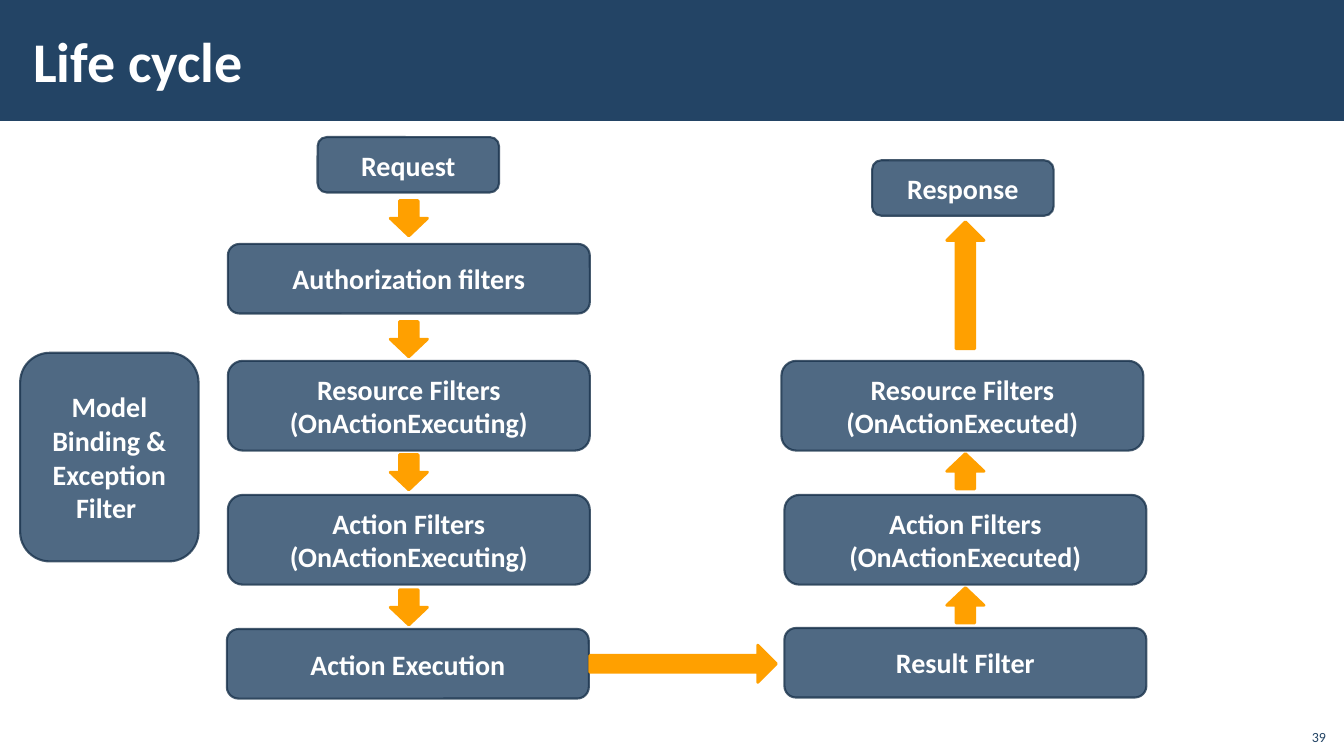
from lxml import etree
from pptx import Presentation
from pptx.dml.color import RGBColor
from pptx.enum.shapes import MSO_SHAPE
from pptx.enum.text import MSO_ANCHOR, PP_ALIGN
from pptx.oxml.ns import qn
from pptx.util import Inches, Pt

NAVY, DARK_NAVY, ORANGE, WHITE = "234465", "1A334C", "FFA000", "FFFFFF"

presentation = Presentation()
presentation.slide_width = Inches(13.33)
presentation.slide_height = Inches(7.5)
slide = presentation.slides.add_slide(presentation.slide_layouts[6])


def add_filled_shape(kind, place, fill, line=None, width=0, opacity=100):
    """Add a preset shape whose fill and line share one opacity in percent."""
    shape = slide.shapes.add_shape(kind, *map(Inches, place))
    shape.shadow.inherit = False
    shape.fill.solid()
    shape.fill.fore_color.rgb = RGBColor.from_string(fill)
    if line:
        shape.line.color.rgb = RGBColor.from_string(line)
        shape.line.width = Pt(width)
    else:
        shape.line.fill.background()
    if opacity < 100:
        for color in shape._element.spPr.iter(qn("a:srgbClr")):
            etree.SubElement(color, qn("a:alpha")).set("val", str(opacity * 1000))
    return shape


def write_text(shape, text, size, color, bold, align, anchor):
    frame = shape.text_frame
    frame.word_wrap = True
    frame.vertical_anchor = anchor
    paragraph = frame.paragraphs[0]
    paragraph.text = text
    paragraph.alignment = align
    font_format = {"name": "Calibri", "size": Pt(size), "bold": bold}
    for run in paragraph.runs:
        for name, value in font_format.items():
            setattr(run.font, name, value)
        run.font.color.rgb = RGBColor.from_string(color)


# Header and slide number
add_filled_shape(MSO_SHAPE.RECTANGLE, (0, 0, 13.33, 1.2), NAVY)

title = slide.shapes.add_textbox(*map(Inches, (0.21, 0.11, 10.63, 0.97)))
title.text_frame.margin_left = title.text_frame.margin_right = Inches(0.12)
write_text(title, "Life cycle", 40, WHITE, True, PP_ALIGN.LEFT, MSO_ANCHOR.MIDDLE)

slide_number = slide.shapes.add_textbox(*map(Inches, (12.85, 7.12, 0.4, 0.32)))
write_text(slide_number, "39", 10, NAVY, False, PP_ALIGN.RIGHT, MSO_ANCHOR.BOTTOM)

# Stages of the life cycle
END_SIZE, ONE_LINE, TWO_LINES = (1.8, 0.55), (3.59, 0.69), (3.59, 0.89)
stages = [
    ("Request", 3.15, 1.36, END_SIZE),
    ("Authorization filters", 2.26, 2.42, ONE_LINE),
    ("Resource Filters\n(OnActionExecuting)", 2.26, 3.58, TWO_LINES),
    ("Action Filters\n(OnActionExecuting)", 2.26, 4.91, TWO_LINES),
    ("Action Execution", 2.25, 6.24, ONE_LINE),
    ("Model Binding &\nException Filter ", 0.2, 3.5, (1.77, 2.07)),
    ("Result Filter", 7.78, 6.23, ONE_LINE),
    ("Action Filters\n(OnActionExecuted)", 7.78, 4.91, TWO_LINES),
    ("Resource Filters\n(OnActionExecuted)", 7.75, 3.58, TWO_LINES),
    ("Response", 8.65, 1.59, END_SIZE),
]
for text, left, top, size in stages:
    stage = add_filled_shape(MSO_SHAPE.ROUNDED_RECTANGLE, (left, top, *size),
                             NAVY, DARK_NAVY, 1.5, 80)
    write_text(stage, text, 20, WHITE, True, PP_ALIGN.CENTER, MSO_ANCHOR.MIDDLE)

# Arrows: down the request side, across, and up the response side
ARROW_WIDTH, SHORT = 0.37, 0.35
arrows = [(3.87, top, SHORT, 0) for top in (1.99, 3.19, 4.51, 5.85)]
arrows += [(9.39, top, length, 180)
           for top, length in ((5.83, SHORT), (4.5, SHORT), (2.2, 1.26))]
arrows.append((6.59, 5.66, 1.85, 270))
for left, top, length, rotation in arrows:
    arrow = add_filled_shape(MSO_SHAPE.DOWN_ARROW, (left, top, ARROW_WIDTH, length),
                             ORANGE, ORANGE, 2)
    arrow.rotation = rotation
    if rotation == 270:
        arrow.adjustments[0] = 0.45

presentation.save("out.pptx")
